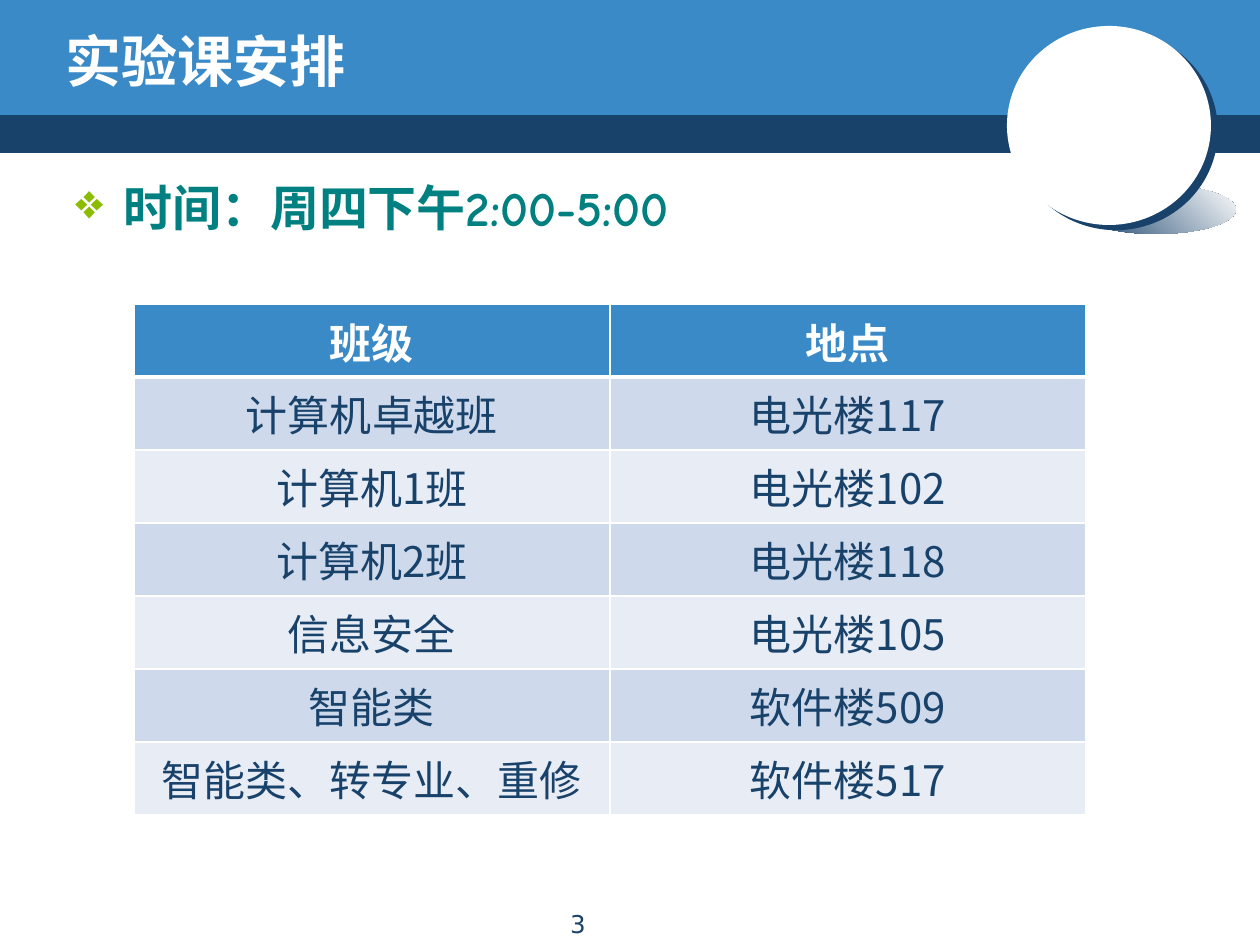
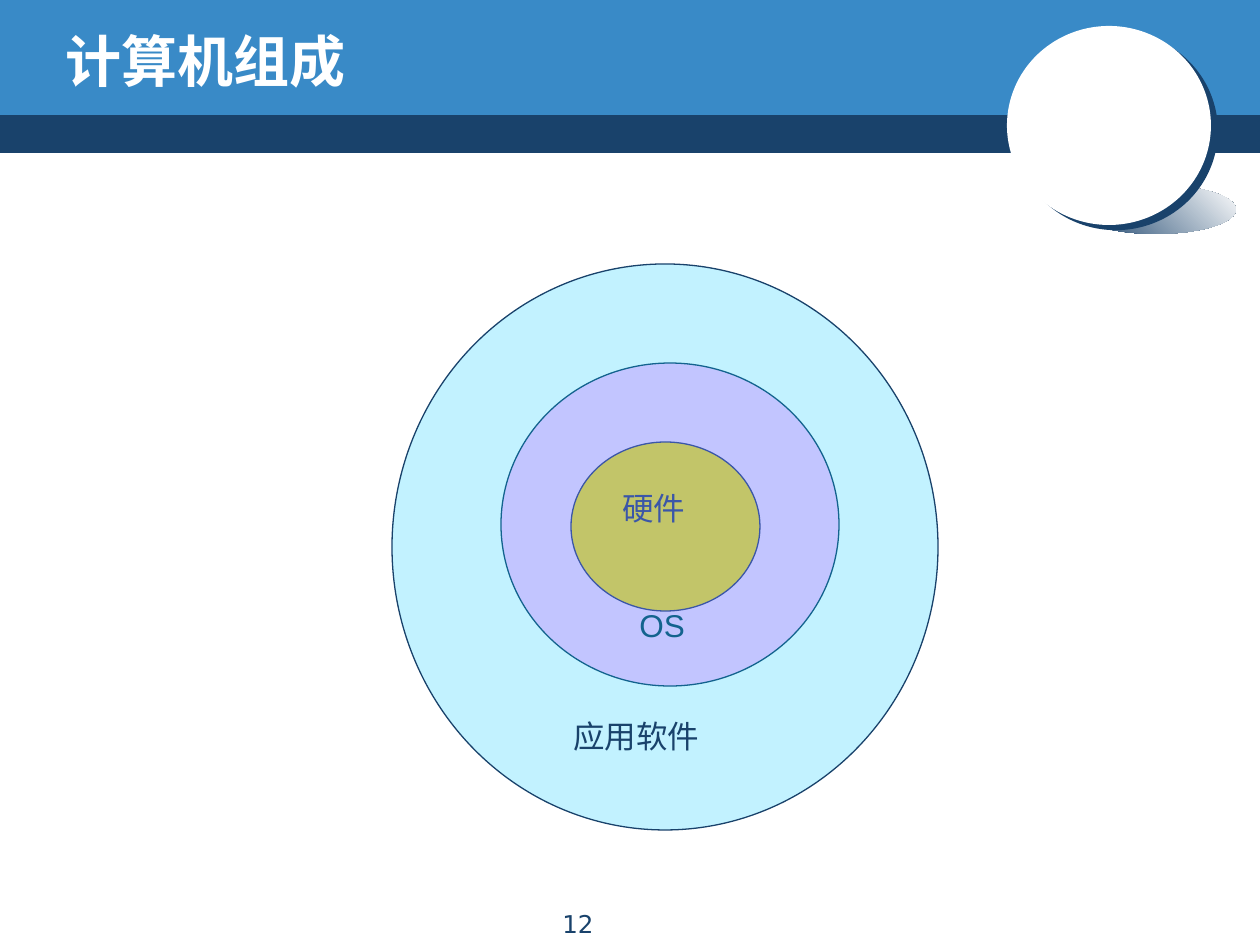
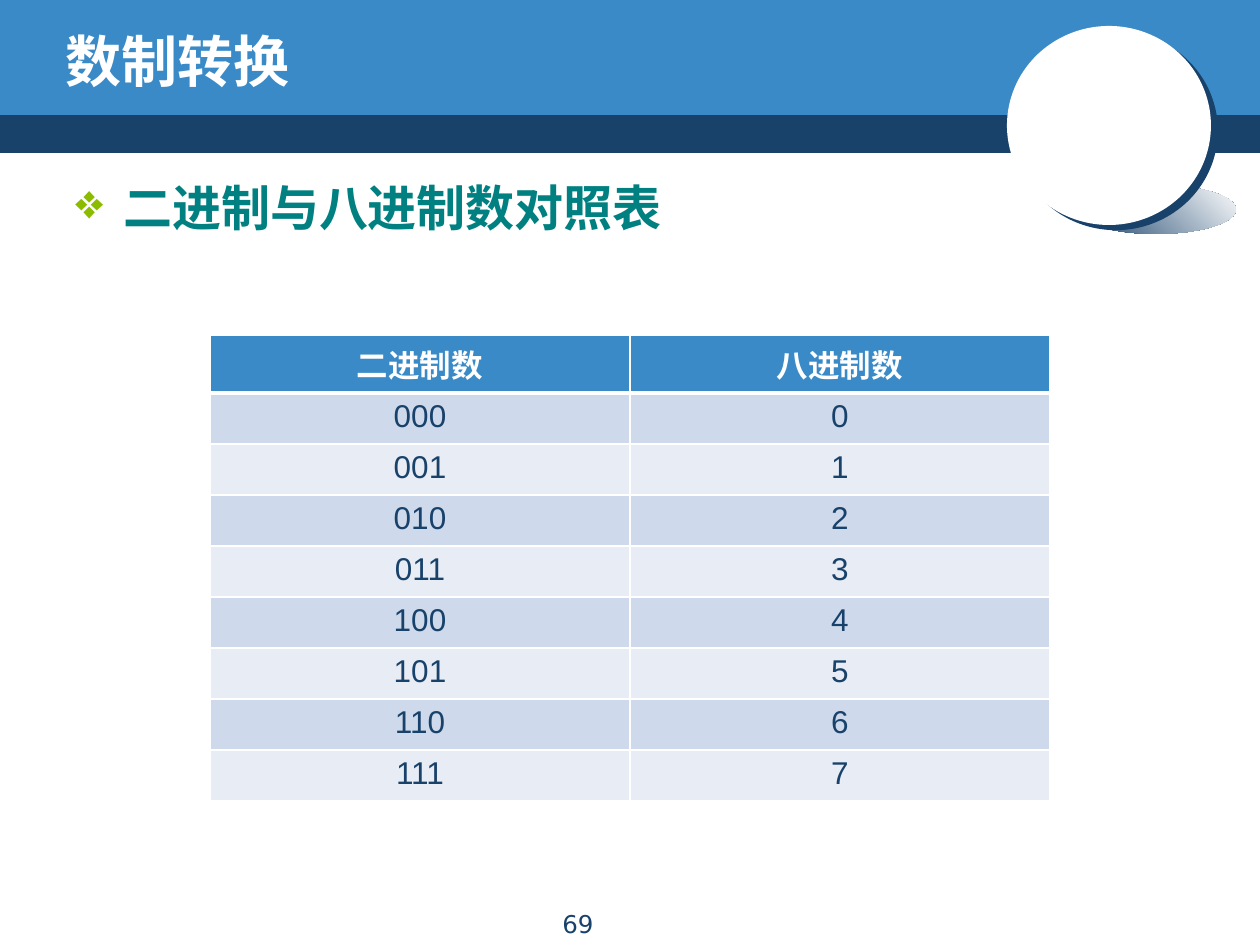
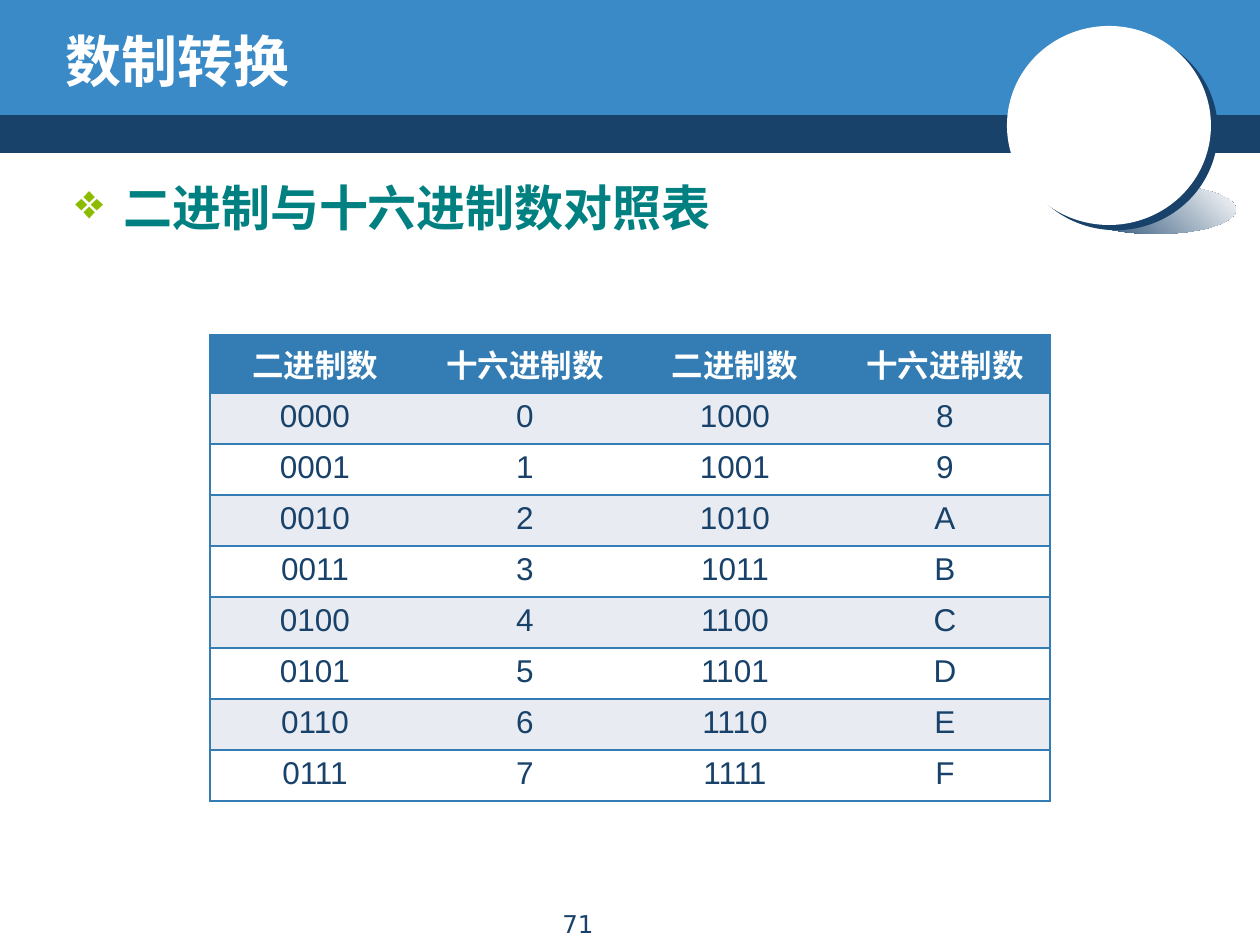
from lxml.etree import SubElement
from pptx import Presentation
from pptx.dml.color import RGBColor
from pptx.enum.shapes import MSO_SHAPE as Preset
from pptx.enum.text import MSO_ANCHOR as Anchor, MSO_AUTO_SIZE as AutoSize, PP_ALIGN as Align
from pptx.oxml import parse_xml
from pptx.oxml.ns import nsdecls, qn
from pptx.util import Emu, Pt

WIDTH, HEIGHT = 1260, 945
EMU_PER_PX = 914400 / 126

NAVY, BLUE, STEEL, WHITE = "19426B", "398AC7", "337DB4", "FFFFFF"
TEAL, LIME = "008080", "8BBC00"
EAST_ASIAN_FONT = "Noto Sans CJK JP"
HANGING_INDENT = 48

TEXT_STYLES = {
    "title": dict(name="Comic Neue", size=Pt(32), bold=True, color=WHITE),
    "heading": dict(name="Comic Neue", size=Pt(28), bold=True, color=TEAL),
    "label": dict(name="Arial", size=Pt(18), color=NAVY),
    "number": dict(name="DejaVu Sans", size=Pt(14), color=NAVY),
}
TABLE_STYLES = {
    "grid": dict(header=BLUE, bands=("CEDAEB", "E8EDF5"), border=WHITE,
                 inner_verticals=True, header_rule=3),
    "ruled": dict(header=STEEL, bands=("E8ECF2", WHITE), border=STEEL,
                  inner_verticals=False, header_rule=1),
}

ROOMS = [
    ("班级", "地点"),
    ("计算机卓越班", "电光楼117"),
    ("计算机1班", "电光楼102"),
    ("计算机2班", "电光楼118"),
    ("信息安全", "电光楼105"),
    ("智能类", "软件楼509"),
    ("智能类、转专业、重修", "软件楼517"),
]
OCTAL = [("二进制数", "八进制数")] + [(f"{n:03b}", str(n)) for n in range(8)]
HEXADECIMAL = [("二进制数", "十六进制数") * 2] + [
    (f"{n:04b}", f"{n:X}", f"{n + 8:04b}", f"{n + 8:X}") for n in range(8)
]

# Innermost layer first: each translucent ellipse covers the ones before it.
# (ellipse box, fill, opacity in percent, label, label box)
LAYERS = [
    ((571, 442, 189, 169), "FFFF00", 100, "硬件", (610, 483, 149, 73)),
    ((501, 363, 338, 323), "FF00FF", 23, "OS", (627, 600, 179, 73)),
    ((392, 264, 546, 566), "00CCFF", 24, "应用软件", (561, 711, 268, 73)),
]

NUMBER_TABLE = dict(left=210, top=335, width=840, header_height=58, row_height=51,
                    font="Arial", size=18)
SLIDES = [
    dict(number=3, title="实验课安排", heading="时间：周四下午2:00-5:00",
         table=dict(rows=ROOMS, style="grid", left=134, top=304, width=952,
                    header_height=73, row_height=73, font=EAST_ASIAN_FONT, size=24)),
    dict(number=12, title="计算机组成", layers=LAYERS),
    dict(number=69, title="数制转换", heading="二进制与八进制数对照表",
         table=dict(rows=OCTAL, style="grid", **NUMBER_TABLE)),
    dict(number=71, title="数制转换", heading="二进制与十六进制数对照表",
         table=dict(rows=HEXADECIMAL, style="ruled", **NUMBER_TABLE)),
]


def px(value):
    return Emu(round(value * EMU_PER_PX))


def rgb(value):
    return RGBColor.from_string(value)


def add_shape(shapes, preset, box, fill, line=None):
    shape = shapes.add_shape(preset, *map(px, box))
    shape.shadow.inherit = False
    shape.fill.solid()
    shape.fill.fore_color.rgb = rgb(fill)
    if line:
        shape.line.color.rgb = rgb(line)
        shape.line.width = Pt(0.75)
    else:
        shape.line.fill.background()
    return shape


def write(paragraph, text, color, **font_values):
    run = paragraph.add_run()
    run.text = text
    for name, value in font_values.items():
        setattr(run.font, name, value)
    run.font.color.rgb = rgb(color)
    properties = run.font._element if hasattr(run.font, "_element") else run._r.get_or_add_rPr()
    SubElement(properties, qn("a:ea"), typeface=EAST_ASIAN_FONT)


def add_text(slide, box, text, style, frame_values=None, align=None):
    """Add a one-paragraph text box and return its paragraph."""
    frame = slide.shapes.add_textbox(*map(px, box)).text_frame
    frame.word_wrap = True
    for name, value in (frame_values or {}).items():
        setattr(frame, name, value)
    paragraph = frame.paragraphs[0]
    paragraph.alignment = align
    write(paragraph, text, **TEXT_STYLES[style])
    return paragraph


def hang(paragraph, space_before):
    """Give the paragraph a hanging indent and return its properties."""
    paragraph.space_before = Pt(space_before)
    properties = paragraph._p.get_or_add_pPr()
    properties.set("marL", str(px(HANGING_INDENT)))
    properties.set("indent", str(-px(HANGING_INDENT)))
    return properties


def decorate(layout, slide):
    """Draw the shared header with the slide's tools and move it to the layout."""
    for placeholder in list(layout.placeholders):
        layout.shapes.element.remove(placeholder.element)
    bands = [
        add_shape(slide.shapes, Preset.RECTANGLE, (0, 110, WIDTH, 43), NAVY),
        add_shape(slide.shapes, Preset.RECTANGLE, (0, 0, WIDTH, 115), BLUE),
    ]
    badge = slide.shapes.add_group_shape()
    glow = add_shape(badge.shapes, Preset.OVAL, (1076, 185, 160, 49), NAVY)
    glow.fill.gradient()
    glow.fill.gradient_angle = 45
    for stop, color in zip(glow.fill.gradient_stops, (NAVY, WHITE)):
        stop.color.rgb = rgb(color)
    disc = add_shape(badge.shapes, Preset.OVAL, (1007, 26, 204, 199), WHITE)
    effects = disc.element.spPr.find(qn("a:effectLst"))
    effects.append(parse_xml(
        f'<a:outerShdw {nsdecls("a")} blurRad="0" dist="{Pt(5)}" dir="{37 * 60000}" '
        f'algn="ctr" rotWithShape="0"><a:srgbClr val="{NAVY}"/></a:outerShdw>'))
    add_shape(badge.shapes, Preset.OVAL, (1076, 86, 72, 74), WHITE)
    for shape in (*bands, badge):
        layout.shapes.element.append(shape.element)


def add_heading(slide, text):
    paragraph = add_text(slide, (63, 171, 1134, 723), text, "heading")
    properties = hang(paragraph, 5.6)
    bullet_color = SubElement(properties, qn("a:buClr"))
    SubElement(bullet_color, qn("a:srgbClr"), val=LIME)
    SubElement(properties, qn("a:buChar"), char="❖")


def add_layers(slide, layers):
    for box, fill, opacity, label, label_box in layers:
        ellipse = add_shape(slide.shapes, Preset.OVAL, box, fill, NAVY)
        if opacity < 100:
            color = ellipse.element.spPr.find(qn("a:solidFill"))[0]
            SubElement(color, qn("a:alpha"), val=str(opacity * 1000))
        paragraph = add_text(slide, label_box, label, "label",
                             dict(auto_size=AutoSize.SHAPE_TO_FIT_TEXT))
        hang(paragraph, 9)


def set_borders(cell, color, widths):
    """Set left, right, top and bottom borders; a width of 0 hides one."""
    properties = cell._tc.get_or_add_tcPr()
    for index, (side, width) in enumerate(zip("LRTB", widths)):
        paint = f'<a:solidFill><a:srgbClr val="{color}"/></a:solidFill>' if width else "<a:noFill/>"
        properties.insert(index, parse_xml(
            f'<a:ln{side} {nsdecls("a")} w="{Pt(width)}">{paint}</a:ln{side}>'))


def add_table(slide, rows, style, left, top, width, header_height, row_height, font, size):
    look = TABLE_STYLES[style]
    column_count = len(rows[0])
    height = header_height + row_height * (len(rows) - 1)
    table = slide.shapes.add_table(
        len(rows), column_count, *map(px, (left, top, width, height))).table
    for column in table.columns:
        column.width = px(width / column_count)
    for r, values in enumerate(rows):
        is_header = r == 0
        table.rows[r].height = px(header_height if is_header else row_height)
        for c, text in enumerate(values):
            cell = table.cell(r, c)
            cell.fill.solid()
            cell.fill.fore_color.rgb = rgb(
                look["header"] if is_header else look["bands"][(r - 1) % 2])
            inner = int(look["inner_verticals"])
            set_borders(cell, look["border"], (
                1 if c == 0 else inner,
                1 if c == column_count - 1 else inner,
                look["header_rule"] if r == 1 else 1,
                look["header_rule"] if is_header else 1,
            ))
            paragraph = cell.text_frame.paragraphs[0]
            paragraph.alignment = Align.CENTER
            write(paragraph, text, WHITE if is_header else NAVY,
                  name=font, size=Pt(size), bold=is_header)


def main():
    presentation = Presentation()
    presentation.slide_width, presentation.slide_height = px(WIDTH), px(HEIGHT)
    blank = presentation.slide_layouts[6]
    for index, content in enumerate(SLIDES):
        slide = presentation.slides.add_slide(blank)
        if index == 0:
            decorate(blank, slide)
        add_text(slide, (53, 21, 1018, 78), content["title"], "title",
                 dict(vertical_anchor=Anchor.MIDDLE))
        if "heading" in content:
            add_heading(slide, content["heading"])
        if "table" in content:
            add_table(slide, **content["table"])
        if "layers" in content:
            add_layers(slide, content["layers"])
        add_text(slide, (431, 903, 294, 33), str(content["number"]), "number",
                 align=Align.CENTER)
    presentation.save("out.pptx")


if __name__ == "__main__":
    main()
